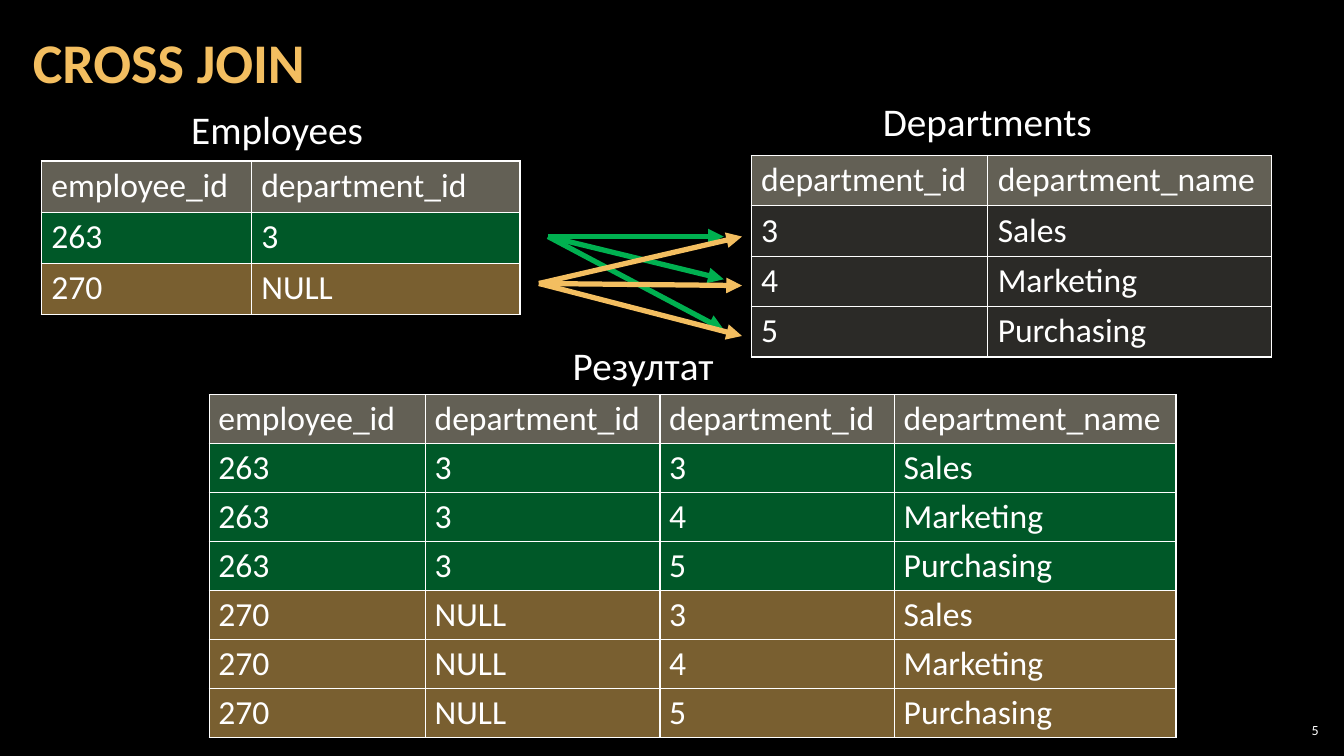
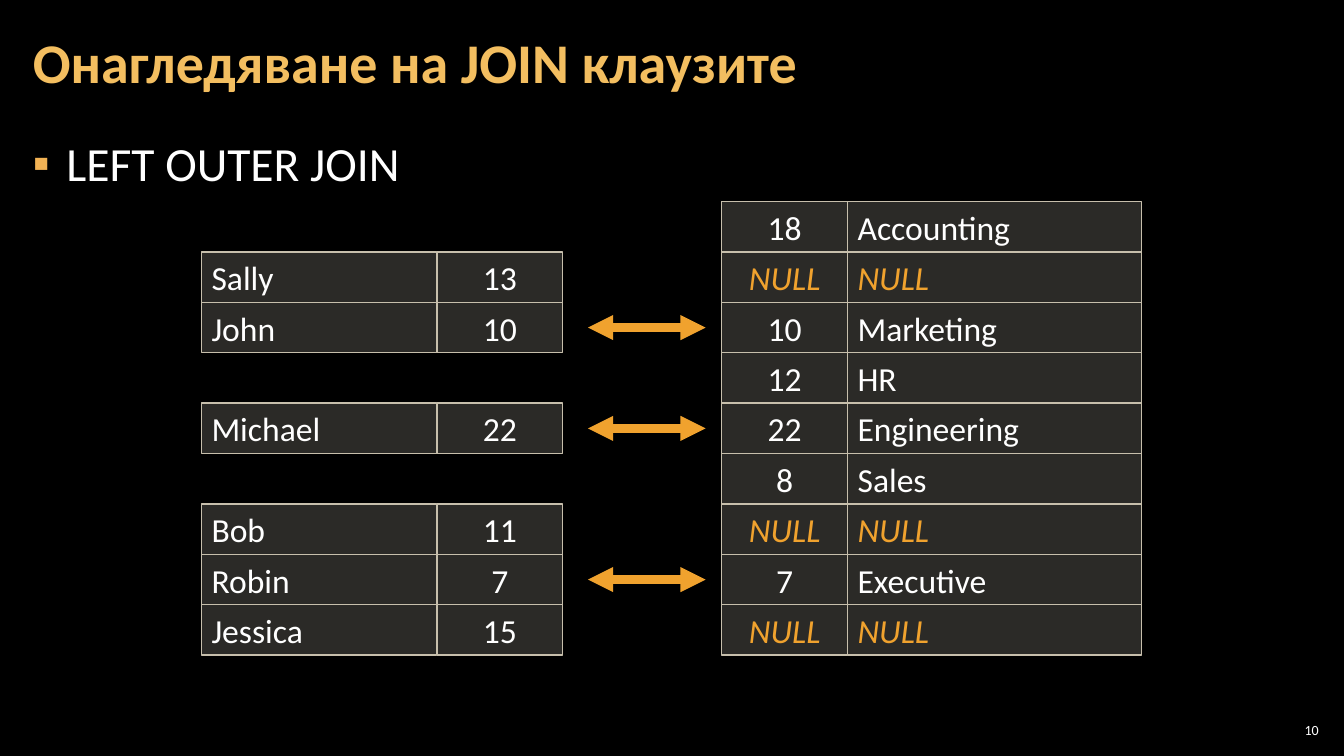
from itertools import product

from lxml import etree
from pptx import Presentation
from pptx.dml.color import RGBColor
from pptx.enum.shapes import MSO_CONNECTOR, MSO_SHAPE
from pptx.enum.text import MSO_ANCHOR, PP_ALIGN
from pptx.oxml.ns import qn
from pptx.util import Pt

LEFT, CENTER, RIGHT = PP_ALIGN.LEFT, PP_ALIGN.CENTER, PP_ALIGN.RIGHT
TOP, MIDDLE = MSO_ANCHOR.TOP, MSO_ANCHOR.MIDDLE
STRAIGHT, RECTANGLE = MSO_CONNECTOR.STRAIGHT, MSO_SHAPE.RECTANGLE

FONT = "Calibri"
COLORS = {
    "background": "000000",
    "text": "FFFFFF",
    "gold": "F3BE60",
    "green": "00B050",
    "header": "C6C0AA",
    "plain": "D9D5C7",
    "cell_line": "C7BFAC",
    "bullet": "F2B254",
    "orange": "F0A22E",
}
OPACITY = {"header": 50, "green": 50, "gold": 50, "plain": 20}

EMPLOYEE_HEAD = ("employee_id", "department_id")
EMPLOYEES = [("263", "3"), ("270", "NULL")]
EMPLOYEE_FILLS = ["green", "gold"]
DEPARTMENT_HEAD = ("department_id", "department_name")
DEPARTMENTS = [("3", "Sales"), ("4", "Marketing"), ("5", "Purchasing")]

# Label, then left, top and width of its box
TABLE_LABELS = [
    ("Employees", 129.5, 72, 138),
    ("Departments", 623.5, 66, 166),
    ("Резултат", 402, 240, 116),
]
# Colour, start point, end x and the end y for each department
JOIN_ARROWS = [
    ("green", (391.5, 169), 517, (169, 199.5, 235.5)),
    ("gold", (385, 202.5), 530, (169, 204, 240)),
]

# Person, person's department, department, department name
LEFT_JOIN_ROWS = [
    ("", "", "18", "Accounting"),
    ("Sally", "13", "NULL", "NULL"),
    ("John", "10", "10", "Marketing"),
    ("", "", "12", "HR"),
    ("Michael", "22", "22", "Engineering"),
    ("", "", "8", "Sales"),
    ("Bob", "11", "NULL", "NULL"),
    ("Robin", "7", "7", "Executive"),
    ("Jessica", "15", "NULL", "NULL"),
]
# Left, width and alignment
LEFT_JOIN_COLUMNS = [
    (144, 168, LEFT),
    (312, 90, CENTER),
    (515.5, 90, CENTER),
    (605.5, 210, LEFT),
]
LEFT_JOIN_TOP, LEFT_JOIN_ROW = 144, 36


def rgb(name):
    return RGBColor.from_string(COLORS[name])


def fill_translucent(fill, properties, name):
    """Fill with a named colour at its opacity; properties is the XML parent of the fill."""
    fill.solid()
    fill.fore_color.rgb = rgb(name)
    color = properties.find(qn("a:solidFill")).find(qn("a:srgbClr"))
    etree.SubElement(color, qn("a:alpha"), val=str(OPACITY[name] * 1000))


def style_font(para, size, color="text", bold=False, italic=False):
    font = para.font
    font.name, font.size = FONT, Pt(size)
    font.bold, font.italic = bold, italic
    font.color.rgb = rgb(color)


def set_margins(target, horizontal, vertical):
    target.margin_left = target.margin_right = Pt(horizontal)
    target.margin_top = target.margin_bottom = Pt(vertical)


def add_text(page, text, place, size, color="text", bold=False, align=LEFT,
             anchor=TOP, margins=(7.2, 3.6), wrap=True):
    box = page.shapes.add_textbox(*map(Pt, place))
    frame = box.text_frame
    frame.word_wrap = wrap
    frame.vertical_anchor = anchor
    set_margins(frame, *margins)
    para = frame.paragraphs[0]
    para.text, para.alignment = text, align
    style_font(para, size, color, bold)
    return para


def add_page(deck, title, number):
    page = deck.slides.add_slide(deck.slide_layouts[6])
    page.background.fill.solid()
    page.background.fill.fore_color.rgb = rgb("background")
    heading = add_text(page, title, (15, 3, 930, 87), 40, "gold", bold=True,
                       anchor=MIDDLE, margins=(8.5, 3))
    heading.line_spacing = 0.9
    add_text(page, number, (911, 514, 34, 15), 10, align=RIGHT,
             anchor=MIDDLE, margins=(3, 3))
    return page


def add_arrow(page, start, end, color, width, both_ends=False):
    arrow = page.shapes.add_connector(STRAIGHT, *map(Pt, start + end))
    arrow.line.color.rgb = rgb(color)
    arrow.line.width = Pt(width)
    properties = arrow._element.spPr
    line = properties.find(qn("a:ln"))
    for tag in ("a:headEnd", "a:tailEnd") if both_ends else ("a:tailEnd",):
        etree.SubElement(line, qn(tag), type="triangle")
    etree.SubElement(properties, qn("a:effectLst"))


def add_borders(properties):
    for index, side in enumerate(("a:lnL", "a:lnR", "a:lnT", "a:lnB")):
        line = etree.Element(qn(side), w=str(Pt(1)))
        fill = etree.SubElement(line, qn("a:solidFill"))
        etree.SubElement(fill, qn("a:srgbClr"), val=COLORS["text"])
        properties.insert(index, line)


def add_data_table(page, rows, fills, left, top, widths, row_height,
                   margins=(7.2, 3.2)):
    """Add a table whose rows take the named fills in order."""
    frame = page.shapes.add_table(len(rows), len(widths), Pt(left), Pt(top),
                                  Pt(sum(widths)), Pt(row_height * len(rows)))
    table = frame.table
    table.first_row = table.horz_banding = False
    for column, width in zip(table.columns, widths):
        column.width = Pt(width)
    for line, values, fill in zip(table.rows, rows, fills):
        line.height = Pt(row_height)
        for cell, value in zip(line.cells, values):
            set_margins(cell, *margins)
            para = cell.text_frame.paragraphs[0]
            para.text = value
            style_font(para, 24)
            properties = cell._tc.get_or_add_tcPr()
            fill_translucent(cell.fill, properties, fill)
            add_borders(properties)


def add_grid_cell(page, text, place, align):
    cell = page.shapes.add_shape(RECTANGLE, *map(Pt, place))
    cell.shadow.inherit = False
    fill_translucent(cell.fill, cell._element.spPr, "plain")
    cell.line.color.rgb = rgb("cell_line")
    cell.line.width = Pt(1)
    frame = cell.text_frame
    frame.word_wrap = True
    frame.vertical_anchor = MIDDLE
    para = frame.paragraphs[0]
    para.text, para.alignment = text, align
    missing = text == "NULL"
    style_font(para, 24, "orange" if missing else "text", italic=missing)


def add_bullet(para, indent):
    properties = para._p.get_or_add_pPr()
    properties.set("marL", str(Pt(indent)))
    properties.set("indent", str(-Pt(indent)))
    bullet_color = etree.Element(qn("a:buClr"))
    etree.SubElement(bullet_color, qn("a:srgbClr"), val=COLORS["bullet"])
    marks = (bullet_color,
             etree.Element(qn("a:buFont"), typeface=FONT),
             etree.Element(qn("a:buChar"), char="▪"))
    for index, mark in enumerate(marks):
        properties.insert(index, mark)


def build_cross_join(deck):
    page = add_page(deck, "CROSS JOIN", "5")
    for label, left, top, width in TABLE_LABELS:
        add_text(page, label, (left, top, width, 41), 28, wrap=False)

    add_data_table(page, [EMPLOYEE_HEAD] + EMPLOYEES, ["header"] + EMPLOYEE_FILLS,
                   29.5, 115, (150, 192), 36.6)
    add_data_table(page, [DEPARTMENT_HEAD] + DEPARTMENTS,
                   ["header"] + ["plain"] * len(DEPARTMENTS),
                   536.5, 111, (169, 203), 36)

    joined = [employee + department
              for employee, department in product(EMPLOYEES, DEPARTMENTS)]
    joined_fills = [fill for fill, _ in product(EMPLOYEE_FILLS, DEPARTMENTS)]
    add_data_table(page, [EMPLOYEE_HEAD + DEPARTMENT_HEAD] + joined,
                   ["header"] + joined_fills,
                   149.5, 282, (154.5, 167.5, 167.5, 201), 35, margins=(6.5, 2.8))

    for color, start, end_x, end_ys in JOIN_ARROWS:
        for end_y in end_ys:
            add_arrow(page, start, (end_x, end_y), color, 3.75)


def build_left_join(deck):
    page = add_page(deck, "Онагледяване на JOIN клаузите", "10")
    para = add_text(page, "LEFT OUTER JOIN", (15, 91, 930, 438), 34, margins=(8.5, 3))
    add_bullet(para, 24)
    para.line_spacing = 1.05

    for index, row in enumerate(LEFT_JOIN_ROWS):
        top = LEFT_JOIN_TOP + index * LEFT_JOIN_ROW
        for text, (left, width, align) in zip(row, LEFT_JOIN_COLUMNS):
            if text:
                add_grid_cell(page, text, (left, top, width, LEFT_JOIN_ROW), align)
        if row[1] == row[2]:
            middle = top + LEFT_JOIN_ROW / 2
            add_arrow(page, (420, middle), (504, middle), "orange", 6, both_ends=True)


def main():
    deck = Presentation()
    deck.slide_width, deck.slide_height = Pt(960), Pt(540)
    build_cross_join(deck)
    build_left_join(deck)
    deck.save("out.pptx")


if __name__ == "__main__":
    main()
